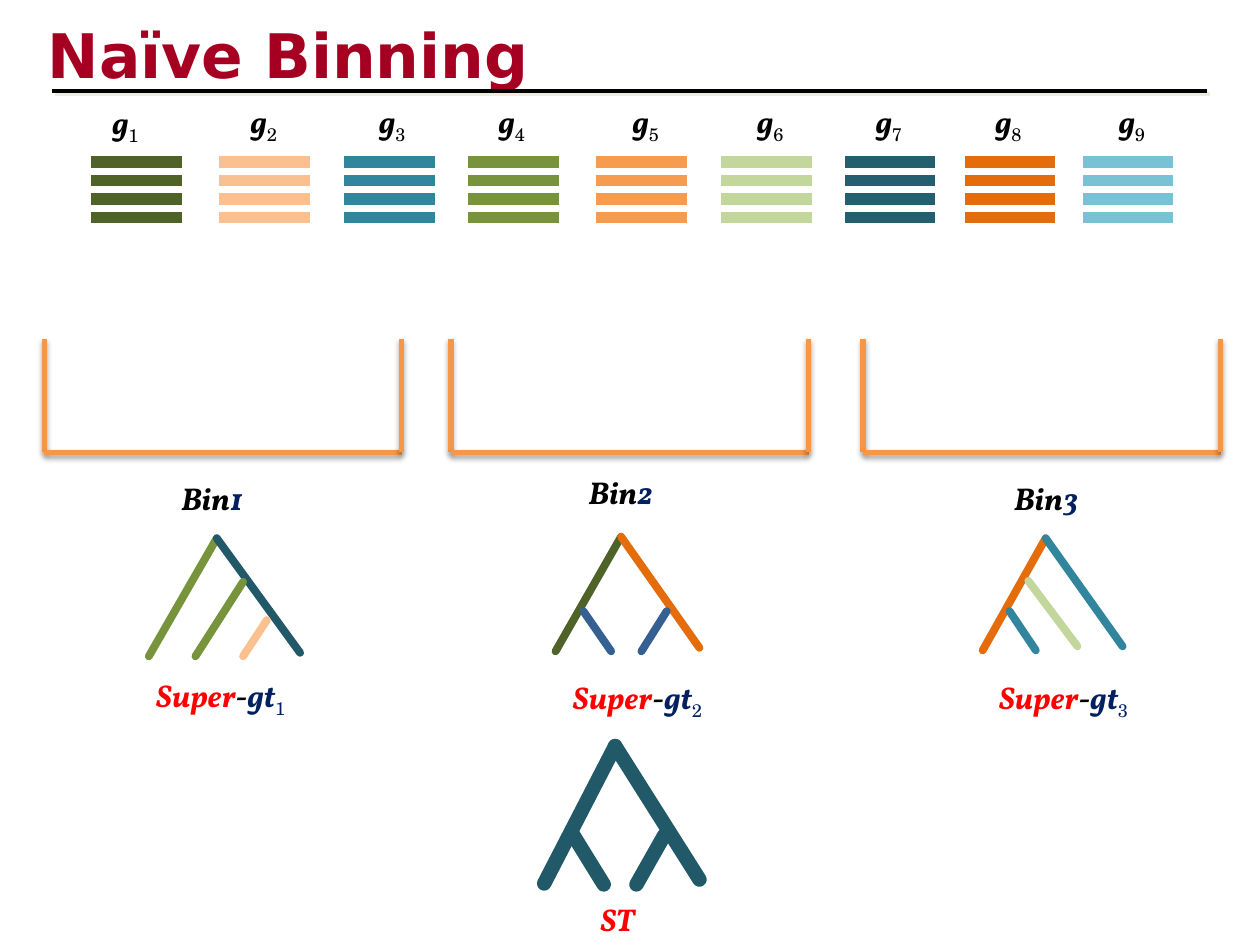
from lxml.etree import SubElement
from pptx import Presentation
from pptx.dml.color import RGBColor
from pptx.enum.shapes import MSO_CONNECTOR, MSO_SHAPE
from pptx.enum.text import MSO_ANCHOR, MSO_AUTO_SIZE, PP_ALIGN
from pptx.oxml.ns import qn
from pptx.util import Cm, Pt

COLORS = {
    "title": "A50021", "ink": "000000", "paper": "FFFFFF", "navy": "002060",
    "red": "FF0000", "cream": "EEECE1", "bin": "F79646", "blue": "376092",
    "moss": "4F6228", "olive": "77933C", "sage": "C3D69B",
    "peach": "FAC090", "apricot": "F79B4F", "orange": "E46C0A",
    "teal": "31859C", "petrol": "235F6F", "deep": "215968", "sky": "79C1D5",
}
SERIF, SUBSCRIPT, SANS = "Vollkorn", "TeX Gyre Schola", "DejaVu Sans"

# Shadows: colour, opacity %, blur pt, distance pt, direction in degrees
SOFT = ("ink", 35, 3.1, 1.8, 90)
HARD = ("cream", 100, 0, 2.8, 45)

# Genes: colour, left of the alignment, left and top of the label
GENES = [
    ("moss", 1.8, 2.01, 1.96), ("peach", 4.39, 4.8, 1.93),
    ("teal", 6.91, 7.39, 1.93), ("olive", 9.4, 9.8, 1.93),
    ("apricot", 11.99, 12.5, 1.93), ("sage", 14.5, 15.01, 1.93),
    ("petrol", 16.99, 17.4, 1.93), ("orange", 19.41, 19.81, 1.93),
    ("sky", 21.79, 22.3, 1.93),
]

# Bins: left of the bin, places of the bin label and supergene tree label
BINS = [
    (0.89, (3.4, 9.53), (2.9, 13.51)),
    (9.09, (11.61, 9.42), (11.3, 13.54)),
    (17.4, (20.19, 9.53), (19.89, 13.54)),
]

# Tree branches: colour, x1, y1, x2, y2
GENE_TREES = [
    [("olive", 3, 13.23, 4.37, 10.85), ("deep", 4.37, 10.85, 6.05, 13.16),
     ("olive", 4.9, 11.73, 3.94, 13.23), ("peach", 5.38, 12.5, 4.9, 13.23)],
    [("moss", 11.2, 13.13, 12.52, 10.82), ("blue", 11.76, 12.32, 12.32, 13.13),
     ("orange", 12.52, 10.82, 14.1, 13.06), ("blue", 13.44, 12.32, 12.93, 13.13)],
    [("orange", 19.81, 13.11, 21.08, 10.85), ("teal", 20.35, 12.32, 20.88, 13.11),
     ("teal", 21.08, 10.85, 22.63, 13.03), ("sage", 20.73, 11.71, 21.72, 13.03)],
]
SPECIES_TREE = [
    ("deep", 10.97, 17.81, 12.4, 15.04), ("deep", 11.56, 16.84, 12.17, 17.83),
    ("deep", 12.4, 15.04, 14.1, 17.73), ("deep", 13.39, 16.84, 12.83, 17.83),
]


def rgb(name):
    return RGBColor.from_string(COLORS[name])


def add_effects(parent, shadow=None):
    """Append an effect list, empty unless a shadow is given."""
    effects = SubElement(parent, qn("a:effectLst"))
    if shadow:
        color, opacity, blur, dist, angle = shadow
        outer = SubElement(effects, qn("a:outerShdw"), blurRad=str(Pt(blur)),
                           dist=str(Pt(dist)), dir=str(angle * 60000),
                           algn="ctr", rotWithShape="0")
        clr = SubElement(outer, qn("a:srgbClr"), val=COLORS[color])
        SubElement(clr, qn("a:alpha"), val=str(opacity * 1000))
    return effects


def add_line(shapes, color, x1, y1, x2, y2, width, shadow=None, cap="flat"):
    line = shapes.add_connector(MSO_CONNECTOR.STRAIGHT,
                                Cm(x1), Cm(y1), Cm(x2), Cm(y2))
    line.line.color.rgb = rgb(color)
    line.line.width = Pt(width)
    line.get_or_add_ln().set("cap", cap)
    add_effects(line._element.spPr, shadow)


def add_tree(shapes, branches, width):
    group = shapes.add_group_shape()
    for branch in branches:
        add_line(group.shapes, *branch, width, cap="rnd")


def add_bin(shapes, left, top=6.83, width=7.21, height=2.29):
    group = shapes.add_group_shape()
    right, bottom = left + width, top + height
    for ends in ((left, top, left, bottom), (left, bottom, right, bottom),
                 (right, top, right, bottom)):
        add_line(group.shapes, "bin", *ends, 3, SOFT)


def add_alignment(shapes, color, left):
    group = shapes.add_group_shape()
    for row in range(4):
        sp = group.shapes.add_shape(MSO_SHAPE.RECTANGLE, Cm(left),
                                    Cm(3.12 + row * 0.37), Cm(1.9), Cm(0.3))
        sp.shadow.inherit = False
        sp.fill.solid()
        sp.fill.fore_color.rgb = rgb(color)
        sp.line.color.rgb = rgb("paper")
        sp.line.width = Pt(2)


def add_label(shapes, left, top, width, parts, sub=None):
    """Add a label of (text, colour) parts, the last one followed by sub."""
    tf = shapes.add_textbox(Cm(left), Cm(top), Cm(width), Cm(1.02)).text_frame
    tf.word_wrap = True
    tf.auto_size = MSO_AUTO_SIZE.SHAPE_TO_FIT_TEXT
    p = tf.paragraphs[0]
    p.font.size = Pt(18)
    runs = [(text, color, False) for text, color in parts]
    if sub:
        runs.append((sub, parts[-1][1], True))
    for text, color, lowered in runs:
        r = p.add_run()
        r.text = text
        r.font.name = SUBSCRIPT if lowered else SERIF
        r.font.bold = r.font.italic = not lowered
        r.font.color.rgb = rgb(color)
        if lowered:
            r.font._element.set("baseline", "-25000")


def set_title(title, text):
    title.left, title.top, title.width, title.height = (
        Cm(0.71), Cm(0.23), Cm(22.91), Cm(1.7))
    tf = title.text_frame
    tf.vertical_anchor = MSO_ANCHOR.MIDDLE
    tf.auto_size = MSO_AUTO_SIZE.NONE
    p = tf.paragraphs[0]
    p.alignment = PP_ALIGN.LEFT
    r = p.add_run()
    r.text = text
    r.font.size = Pt(35.1)
    r.font.bold = True
    r.font.color.rgb = rgb("title")
    add_effects(r.font._element, HARD)
    r.font.name = SANS


def main():
    prs = Presentation()
    prs.slide_width, prs.slide_height = Cm(25.4), Cm(19.05)
    slide = prs.slides.add_slide(prs.slide_layouts[5])
    shapes = slide.shapes

    # Title and rule
    set_title(shapes.title, "Naïve Binning")
    add_line(shapes, "ink", 1.04, 1.83, 24.33, 1.83, 2.25, HARD)

    # Gene alignments
    for number, (color, left, label_left, label_top) in enumerate(GENES, 1):
        add_alignment(shapes, color, left)
        add_label(shapes, label_left, label_top, 1.2, [("g", "ink")], str(number))

    # Bins and their supergene trees
    for number, (bin_data, tree) in enumerate(zip(BINS, GENE_TREES), 1):
        left, bin_label, tree_label = bin_data
        add_bin(shapes, left)
        add_label(shapes, *bin_label, 2.08,
                  [("Bin", "ink"), (str(number), "navy")])
        add_tree(shapes, tree, 4.5)
        add_label(shapes, *tree_label, 3.81,
                  [("Super", "red"), ("-", "ink"), ("gt", "navy")], str(number))

    # Species tree
    add_tree(shapes, SPECIES_TREE, 8.25)
    add_label(shapes, 11.86, 18.01, 1.55, [("ST", "red")])

    prs.save("out.pptx")


if __name__ == "__main__":
    main()
